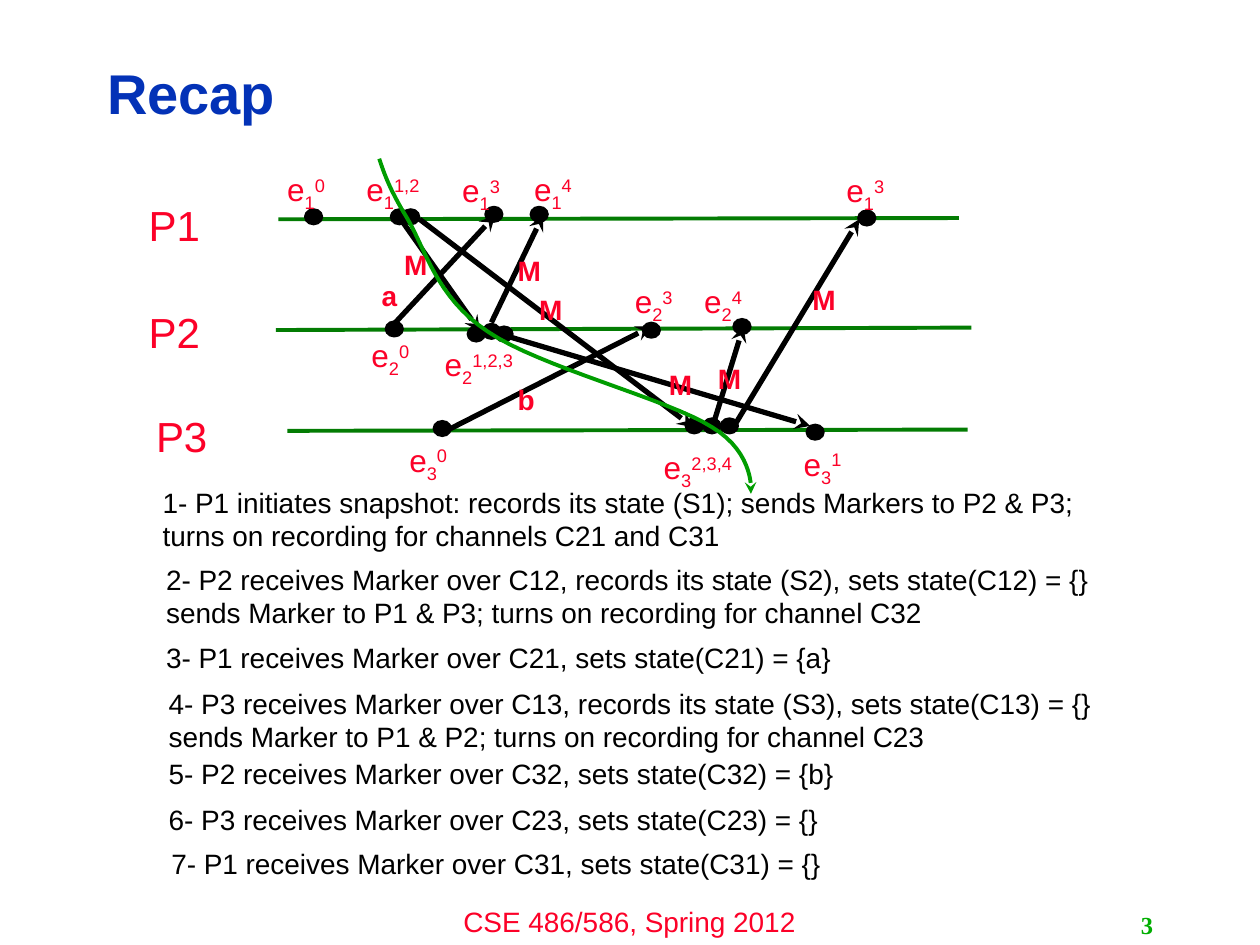
from dataclasses import dataclass

from lxml import etree
from pptx import Presentation
from pptx.dml.color import RGBColor
from pptx.enum.shapes import MSO_CONNECTOR, MSO_SHAPE
from pptx.enum.text import MSO_ANCHOR, MSO_AUTO_SIZE, PP_ALIGN
from pptx.oxml.ns import qn
from pptx.util import Pt

STRAIGHT, OVAL = MSO_CONNECTOR.STRAIGHT, MSO_SHAPE.OVAL
LEFT, CENTER, RIGHT = PP_ALIGN.LEFT, PP_ALIGN.CENTER, PP_ALIGN.RIGHT
TOP, MIDDLE = MSO_ANCHOR.TOP, MSO_ANCHOR.MIDDLE
COLORS = {"title": "0332B7", "label": "FC0128", "ink": "000000",
          "process": "037C03", "cut": "009D00", "number": "00AE00"}


@dataclass(frozen=True)
class Process:
    """A timeline with its name."""
    name: str
    name_at: tuple[float, float]
    start: tuple[float, float]
    end: tuple[float, float]


@dataclass(frozen=True)
class Event:
    """An event label: process as subscript, index as superscript."""
    process: str
    index: str
    left: float
    top: float
    width: float = 44


@dataclass(frozen=True)
class Message:
    """An arrow between two timelines with its label."""
    name: str
    name_at: tuple[float, float]
    start: tuple[float, float]
    end: tuple[float, float]


@dataclass(frozen=True)
class Step:
    """One sentence of the walk-through."""
    text: str
    indent: float
    space_before: float


PROCESSES = [
    Process("P1", (77.8, 110.2), (159.1, 125.3), (547.9, 124.6)),
    Process("P2", (77.8, 171.4), (157.7, 188.6), (555.1, 187.2)),
    Process("P3", (82.1, 231.1), (164.2, 246.2), (553, 245.5)),
]
DOTS = [
    (174.2, 119.5), (223.2, 119.5), (229.7, 119.5), (277.2, 118.1),
    (303.1, 118.1), (490.3, 120.2),
    (220.3, 183.6), (267.1, 186.5), (275.8, 185), (283, 186.5),
    (367.2, 184.3), (419, 182.2),
    (247.7, 240.5), (391.7, 239), (401.8, 239), (411.8, 239), (460.8, 242.6),
]
EVENTS = [
    Event("1", "0", 157, 93.6), Event("1", "1,2", 202.3, 93.6, 49.7),
    Event("1", "3", 257, 94.3), Event("1", "4", 298.1, 93.6),
    Event("1", "3", 476.6, 94.3),
    Event("2", "0", 205.2, 188.6), Event("2", "1,2,3", 247, 193.7, 59),
    Event("2", "3", 355.7, 157.7), Event("2", "4", 395.3, 157.7),
    Event("3", "0", 226.8, 248.4), Event("3", "2,3,4", 372.2, 252.7, 63.4),
    Event("3", "1", 452.2, 250.6),
]
MESSAGES = [
    Message("a", (211, 155.5), (223.9, 186.5), (283, 123.1)),
    Message("b", (288.7, 215.3), (252, 247.7), (372.2, 186.5)),
    Message("M", (223.9, 138.2), (229, 125.3), (274.3, 189.4)),
    Message("M", (301, 163.4), (239.8, 125.3), (396, 244.1)),
    Message("M", (288.7, 141.1), (280.8, 184.3), (310.3, 123.1)),
    Message("M", (375.1, 206.6), (290.2, 192.2), (463, 243.4)),
    Message("M", (403.2, 203), (408.2, 240.5), (424.8, 186.5)),
    Message("M", (457.2, 157.7), (418.3, 245.5), (491, 125.3)),
]
STEPS = [
    Step("1- P1 initiates snapshot: records its state (S1); sends Markers to "
         "P2 & P3; turns on recording for channels C21 and C31", 0, 0),
    Step("2- P2 receives Marker over C12, records its state (S2), sets state(C12) = {} "
         "sends Marker to P1 & P3; turns on recording for channel C32", 2, 5.7),
    Step("3- P1 receives Marker over C21, sets state(C21) = {a}", 2, 6.4),
    Step("4- P3 receives Marker over C13, records its state (S3), sets state(C13) = {} "
         "sends Marker to P1 & P2; turns on recording for channel C23", 3.5, 6.8),
    Step("5- P2 receives Marker over C32, sets state(C32) = {b}", 3.5, 2.1),
    Step("6- P3 receives Marker over C23, sets state(C23) = {}", 3.5, 6.8),
    Step("7- P1 receives Marker over C31, sets state(C31) = {}", 5, 6),
]
CUT = [
    (216.7, 90.7), (219.6, 99.4), (222.5, 108), (232.6, 124.6),
    (242.6, 141.1), (249.1, 169.9), (278.6, 189.4),
    (307.4, 209.5), (382.3, 228.2), (406.8, 244.1),
    (432, 259.2), (429.1, 282.2), (429.1, 282.2),
]


def style(run, size, color, bold=False, font="Arial"):
    """Set the font of a run."""
    run.font.name, run.font.size, run.font.bold = font, Pt(size), bold
    run.font.color.rgb = RGBColor.from_string(COLORS[color])


def place(shape, left, top, width, height):
    """Move and size a placeholder."""
    shape.left, shape.top = Pt(left), Pt(top)
    shape.width, shape.height = Pt(width), Pt(height)


def add_label(slide, text, box, size, color="label", bold=False,
              font="Arial", align=LEFT, anchor=TOP):
    """Add a one-paragraph text box and return its paragraph."""
    frame = slide.shapes.add_textbox(*map(Pt, box)).text_frame
    frame.word_wrap, frame.vertical_anchor = True, anchor
    paragraph = frame.paragraphs[0]
    paragraph.text, paragraph.alignment = text, align
    style(paragraph.runs[0], size, color, bold, font)
    return paragraph


def add_event(slide, event: Event):
    """Add an event label with its subscript and superscript."""
    paragraph = add_label(slide, "e", (event.left, event.top, event.width, 26.6), 18)
    for text, baseline in ((event.process, -25000), (event.index, 30000)):
        run = paragraph.add_run()
        run.text = text
        style(run, 18, "label")
        run.font._element.set("baseline", str(baseline))


def add_arrowhead(shape):
    """Put a stealth head at the end of a line."""
    etree.SubElement(shape.line._get_or_add_ln(), qn("a:tailEnd"), type="stealth")


def add_line(slide, start, end, color, width):
    """Add a straight line without shadow."""
    line = slide.shapes.add_connector(STRAIGHT, *map(Pt, start + end))
    line.line.color.rgb = RGBColor.from_string(COLORS[color])
    line.line.width = Pt(width)
    etree.SubElement(line._element.spPr, qn("a:effectLst"))
    return line


def add_dot(slide, left, top):
    """Add an event dot."""
    dot = slide.shapes.add_shape(OVAL, Pt(left), Pt(top), Pt(10), Pt(8.8))
    dot.shadow.inherit = False
    dot.fill.solid()
    dot.fill.fore_color.rgb = RGBColor.from_string(COLORS["ink"])
    dot.line.color.rgb = RGBColor.from_string(COLORS["ink"])
    dot.line.width = Pt(1)


def bezier(controls, t):
    """Return the point at t on a cubic curve, in EMU."""
    weights = ((1 - t) ** 3, 3 * t * (1 - t) ** 2, 3 * t * t * (1 - t), t ** 3)
    return tuple(Pt(sum(w * c[axis] for w, c in zip(weights, controls))) for axis in (0, 1))


def add_cut(slide, samples=16):
    """Add the curved cut through the timelines."""
    points = [bezier(CUT[first:first + 4], n / samples)
              for first in range(0, len(CUT) - 1, 3) for n in range(1, samples + 1)]
    builder = slide.shapes.build_freeform(*map(Pt, CUT[0]), scale=1.0)
    builder.add_line_segments(points, close=False)
    cut = builder.convert_to_shape()
    cut.shadow.inherit = False
    cut.fill.background()
    cut.line.color.rgb = RGBColor.from_string(COLORS["cut"])
    cut.line.width = Pt(2.25)
    add_arrowhead(cut)


def fill_title(title):
    """Write the slide title."""
    place(title, 54, 26, 574.6, 58.3)
    title.text_frame.text = "Recap"
    title.text_frame.vertical_anchor = MIDDLE
    heading = title.text_frame.paragraphs[0]
    heading.alignment, heading.line_spacing = LEFT, 0.9
    style(heading.runs[0], 32, "title", True)


def fill_steps(body):
    """Write the steps as a list without bullets."""
    place(body, 85.7, 273.6, 552.5, 224)
    frame = body.text_frame
    frame.text = "\n".join(step.text for step in STEPS)
    frame.auto_size = MSO_AUTO_SIZE.NONE
    for paragraph, step in zip(frame.paragraphs, STEPS):
        paragraph.space_before = Pt(step.space_before)
        properties = paragraph._p.get_or_add_pPr()
        properties.set("marL", str(Pt(step.indent)))
        properties.set("indent", "0")
        etree.SubElement(properties, qn("a:buNone"))
        style(paragraph.runs[0], 16, "ink")


def main():
    """Build the slide and save it."""
    deck = Presentation()
    deck.slide_width, deck.slide_height = Pt(720), Pt(540)
    slide = deck.slides.add_slide(deck.slide_layouts[1])
    fill_title(slide.shapes.title)
    fill_steps(slide.placeholders[1])
    add_label(slide, "CSE 486/586, Spring 2012", (239.8, 513.4, 239.8, 26.6), 16, align=CENTER)
    add_label(slide, "3", (516.2, 517, 149.8, 23), 14, "number", True,
              "Times New Roman", RIGHT, MIDDLE)
    for process in PROCESSES:
        add_line(slide, process.start, process.end, "process", 2.25)
        add_label(slide, process.name, (*process.name_at, 90.7, 33.1), 24)
    for dot in DOTS:
        add_dot(slide, *dot)
    for event in EVENTS:
        add_event(slide, event)
    for message in MESSAGES:
        add_arrowhead(add_line(slide, message.start, message.end, "ink", 3))
        add_label(slide, message.name, (*message.name_at, 28.8, 24.5), 16, bold=True)
    add_cut(slide)


    deck.save("out.pptx")


main()
